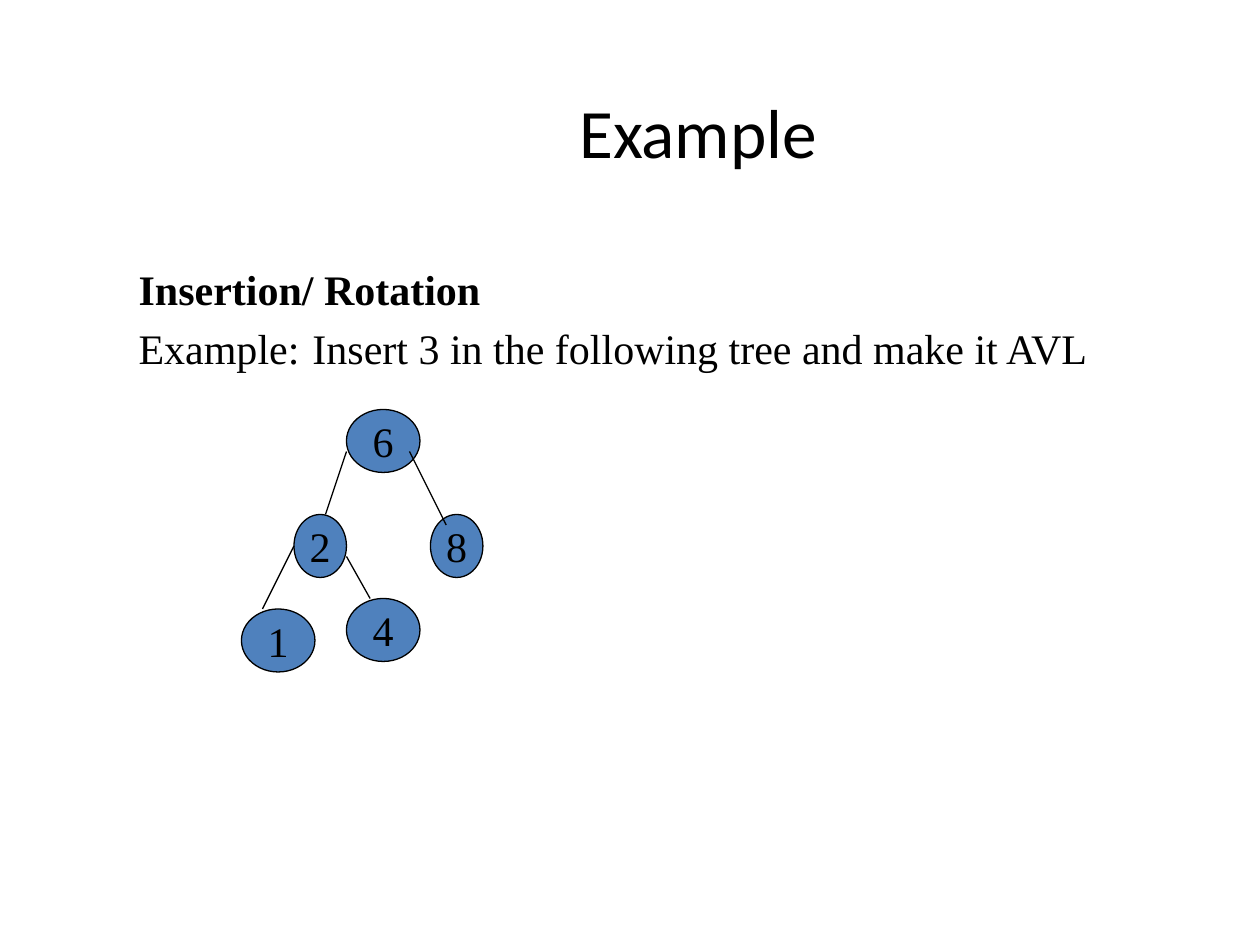
from lxml.etree import SubElement
from pptx import Presentation
from pptx.dml.color import RGBColor as RGB
from pptx.enum.shapes import MSO_CONNECTOR as CONNECTOR, MSO_SHAPE as SHAPE
from pptx.enum.text import MSO_ANCHOR as ANCHOR, MSO_AUTO_SIZE as AUTO_SIZE, PP_ALIGN as ALIGN
from pptx.oxml.ns import qn
from pptx.util import Inches, Pt

COLORS = {"ink": "000000", "node": "4F81BD"}
SERIF = "Times New Roman"
CELL = Inches(1) / 12  # the tree sits on a grid of twelve cells to the inch


def write(para, text, size=24, font=SERIF, bold=False, align=None):
    span = para.add_run()
    span.text = text
    span.font.size = Pt(size)
    span.font.name = font
    span.font.bold = bold
    span.font.color.rgb = RGB.from_string(COLORS["ink"])
    para.alignment = align


def on_grid(*cells):
    return [round(cell * CELL) for cell in cells]


deck = Presentation()
deck.slide_width, deck.slide_height = Inches(10), Inches(7.5)
page = deck.slides.add_slide(deck.slide_layouts[1])

# Title
title = page.shapes.title
title.left, title.top, title.width, title.height = on_grid(13, 8, 107, 9)
title.text_frame.auto_size = AUTO_SIZE.NONE
title.text_frame.vertical_anchor = ANCHOR.MIDDLE
write(title.text_frame.paragraphs[0], "Example", size=39.6, font="Calibri", align=ALIGN.CENTER)

# Task
body = page.placeholders[1]
body.left, body.top, body.width, body.height = on_grid(12, 24, 102, 54.4)
frame = body.text_frame
frame.auto_size = AUTO_SIZE.NONE
frame.margin_top = Inches(0.09)
task_lines = [
    ("Insertion/ Rotation", True),
    ("Example:\tInsert 3 in the following tree and make it AVL", False),
]
for index, (text, bold) in enumerate(task_lines):
    para = frame.add_paragraph() if index else frame.paragraphs[0]
    properties = para._p.get_or_add_pPr()
    properties.set("marL", str(Inches(0.38)))
    properties.set("indent", str(-Inches(0.38)))
    SubElement(properties, qn("a:buNone"))
    para.space_before = Pt(5 if index else 0)
    write(para, text, bold=bold)

# Tree nodes: key, left, top, width in cells
NODE_HEIGHT = 6
nodes = [("6", 33, 39, 7), ("2", 28, 49, 5), ("8", 41, 49, 5), ("1", 23, 58, 7), ("4", 33, 57, 7)]
for key, left, top, width in nodes:
    node = page.shapes.add_shape(SHAPE.OVAL, *on_grid(left, top, width, NODE_HEIGHT))
    node.shadow.inherit = False
    node.fill.solid()
    node.fill.fore_color.rgb = RGB.from_string(COLORS["node"])
    node.line.color.rgb = RGB.from_string(COLORS["ink"])
    node.line.width = Pt(0.75)
    node.text_frame.word_wrap = False
    node.text_frame.vertical_anchor = ANCHOR.MIDDLE
    write(node.text_frame.paragraphs[0], key, align=ALIGN.CENTER)

# Tree edges: from x, y to x, y in cells
edges = [(33, 43, 31, 49), (39, 43, 42.5, 50), (28, 52, 25, 58), (33, 53, 35.25, 57)]
for ends in edges:
    edge = page.shapes.add_connector(CONNECTOR.STRAIGHT, *on_grid(*ends))
    edge.line.color.rgb = RGB.from_string(COLORS["ink"])
    edge.line.width = Pt(0.75)
    SubElement(edge._element.spPr, qn("a:effectLst"))

deck.save("out.pptx")
